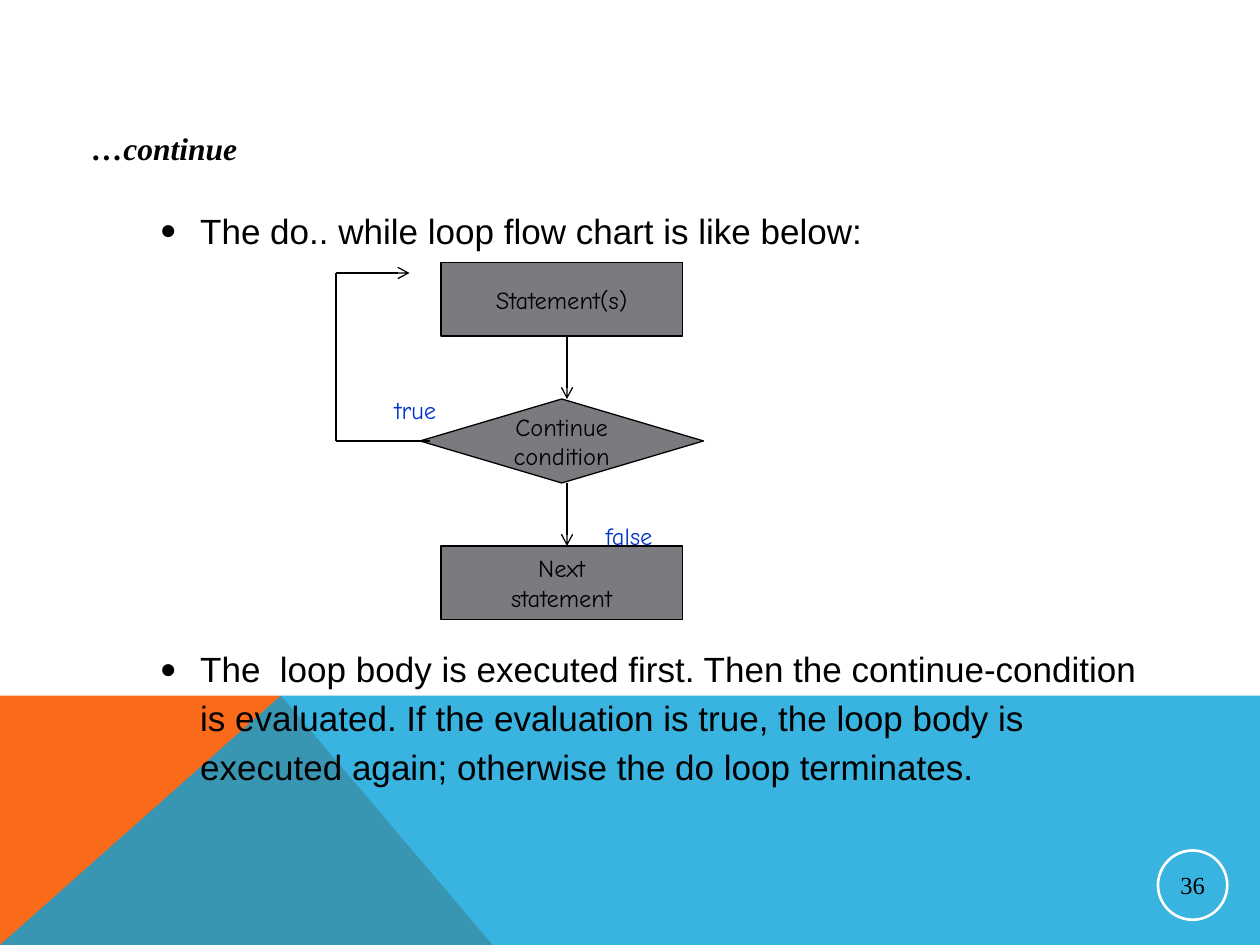
from lxml.etree import SubElement
from pptx import Presentation
from pptx.dml.color import RGBColor
from pptx.enum.shapes import MSO_CONNECTOR, MSO_SHAPE as Shape
from pptx.enum.text import MSO_ANCHOR as Anchor, MSO_AUTO_SIZE as AutoSize, PP_ALIGN as Align
from pptx.oxml.ns import qn
from pptx.util import Inches, Pt

BLACK = RGBColor(0x00, 0x00, 0x00)
WHITE = RGBColor(0xFF, 0xFF, 0xFF)
GREY = RGBColor(0x79, 0x7B, 0x7E)
ORANGE = RGBColor(0xF9, 0x6A, 0x1B)
SKY = RGBColor(0x08, 0xA1, 0xD9)
LABEL_BLUE = RGBColor(0x00, 0x33, 0xCC)
SERIF, SANS, COMIC = "Times New Roman", "Arial", "Comic Neue"

WIDTH, HEIGHT = 10, 7.5
CELL = 1 / 12  # flow chart grid, in inches

# Content
TITLE = "…continue"
PAGE_NUMBER = "36"
BULLETS = [  # text, line spacing, space before in points
    ("The do.. while loop flow chart is like below:", 1.0, 0),
    ("The  loop body is executed first. Then the continue-condition is evaluated. "
     "If the evaluation is true, the loop body is executed again; "
     "otherwise the do loop terminates.", 1.16, 223),
]

# Flow chart, in grid cells: left, top, width, height
NODES = [
    (Shape.FLOWCHART_DECISION, (40, 38, 27, 8), ["Continue", "condition"]),
    (Shape.FLOWCHART_PROCESS, (42, 25, 23, 7), ["Statement(s)"]),
    (Shape.FLOWCHART_PROCESS, (42, 52, 23, 7), ["Next", "statement"]),
]
LINES = [  # start, end, arrowhead at the end
    ((54, 32), (54, 38), True),
    ((54, 46), (54, 52), True),
    ((41, 42), (32, 42), False),
    ((32, 42), (32, 26), False),
    ((32, 26), (39, 26), True),
]
LABELS = [("false", (56.5, 49, 7, 4)), ("true", (36.4, 37, 6.4, 4))]

# Background bands, as corner points in inches
BAND_TOP, PEAK, FOOT = 5.52, 2.23, 3.91
BANDS = [
    (ORANGE, None, [(0, HEIGHT), (0, BAND_TOP), (PEAK, BAND_TOP), (FOOT, HEIGHT)]),
    (SKY, 80, [(0, HEIGHT), (PEAK, BAND_TOP), (WIDTH, BAND_TOP), (WIDTH, HEIGHT)]),
]


def write(frame, lines, font, size, color=BLACK, align=Align.LEFT,
          anchor=Anchor.TOP, wrap=False, bold=False, italic=False):
    """Fill a text frame with one paragraph per line, all in one format."""
    frame.auto_size = AutoSize.NONE
    frame.word_wrap = wrap
    frame.vertical_anchor = anchor
    for index, text in enumerate(lines):
        para = frame.paragraphs[0] if index == 0 else frame.add_paragraph()
        para.alignment = align
        span = para.add_run()
        span.text = text
        span.font.name, span.font.size = font, Pt(size)
        span.font.bold, span.font.italic = bold, italic
        span.font.color.rgb = color


def add_bullet(para, indent):
    props = para._p.get_or_add_pPr()
    props.set("marL", str(Inches(indent)))
    props.set("indent", str(-Inches(indent)))
    SubElement(props, qn("a:buSzPct"), val="80000")
    SubElement(props, qn("a:buFont"), typeface=SANS)
    SubElement(props, qn("a:buChar"), char="●")


def on_grid(cells):
    return [Inches(cell * CELL) for cell in cells]


def add_band(page, color, opacity, points):
    corners = [(Inches(x), Inches(y)) for x, y in points]
    builder = page.shapes.build_freeform(*corners[0])
    builder.add_line_segments(corners[1:], close=True)
    band = builder.convert_to_shape()
    band.shadow.inherit = False
    band.fill.solid()
    band.fill.fore_color.rgb = color
    band.line.fill.background()
    if opacity:
        tint = band._element.spPr.find(".//" + qn("a:srgbClr"))
        SubElement(tint, qn("a:alpha"), val=str(opacity * 1000))


def add_line(page, start, end, arrow):
    line = page.shapes.add_connector(MSO_CONNECTOR.STRAIGHT, *on_grid(start + end))
    line.line.color.rgb = BLACK
    line.line.width = Pt(0.75)
    if arrow:
        SubElement(line.line._get_or_add_ln(), qn("a:tailEnd"), type="arrow")
    SubElement(line._element.spPr, qn("a:effectLst"))


def main():
    deck = Presentation()
    deck.slide_width, deck.slide_height = Inches(WIDTH), Inches(HEIGHT)
    page = deck.slides.add_slide(deck.slide_layouts[5])

    # Background
    for band in BANDS:
        add_band(page, *band)

    # Title
    title = page.shapes.title
    title.left, title.top = Inches(0.63), Inches(0.97)
    title.width, title.height = Inches(1.54), Inches(0.4)
    write(title.text_frame, [TITLE], SERIF, 18, bold=True, italic=True)

    # Page number in a ring
    ring = page.shapes.add_shape(Shape.OVAL, Inches(9.19), Inches(6.75),
                                 Inches(0.55), Inches(0.55))
    ring.shadow.inherit = False
    ring.fill.background()
    ring.line.color.rgb = WHITE
    ring.line.width = Pt(1.5)
    write(ring.text_frame, [PAGE_NUMBER], SERIF, 14, align=Align.CENTER, anchor=Anchor.MIDDLE)

    # Bullets above and below the flow chart
    body = page.shapes.add_textbox(Inches(1.17), Inches(1.61), Inches(8.08), Inches(5.27))
    write(body.text_frame, [text for text, *_ in BULLETS], SANS, 20, wrap=True)
    for para, (_, spacing, before) in zip(body.text_frame.paragraphs, BULLETS):
        para.line_spacing = spacing
        if before:
            para.space_before = Pt(before)
        add_bullet(para, 0.32)

    # Flow chart
    for kind, cells, lines in NODES:
        node = page.shapes.add_shape(kind, *on_grid(cells))
        node.shadow.inherit = False
        node.fill.solid()
        node.fill.fore_color.rgb = GREY
        node.line.color.rgb = BLACK
        node.line.width = Pt(0.75)
        write(node.text_frame, lines, COMIC, 14, align=Align.CENTER, anchor=Anchor.MIDDLE)
    for line in LINES:
        add_line(page, *line)
    for text, cells in LABELS:
        label = page.shapes.add_textbox(*on_grid(cells))
        write(label.text_frame, [text], COMIC, 14, color=LABEL_BLUE)

    deck.save("out.pptx")


if __name__ == "__main__":
    main()
